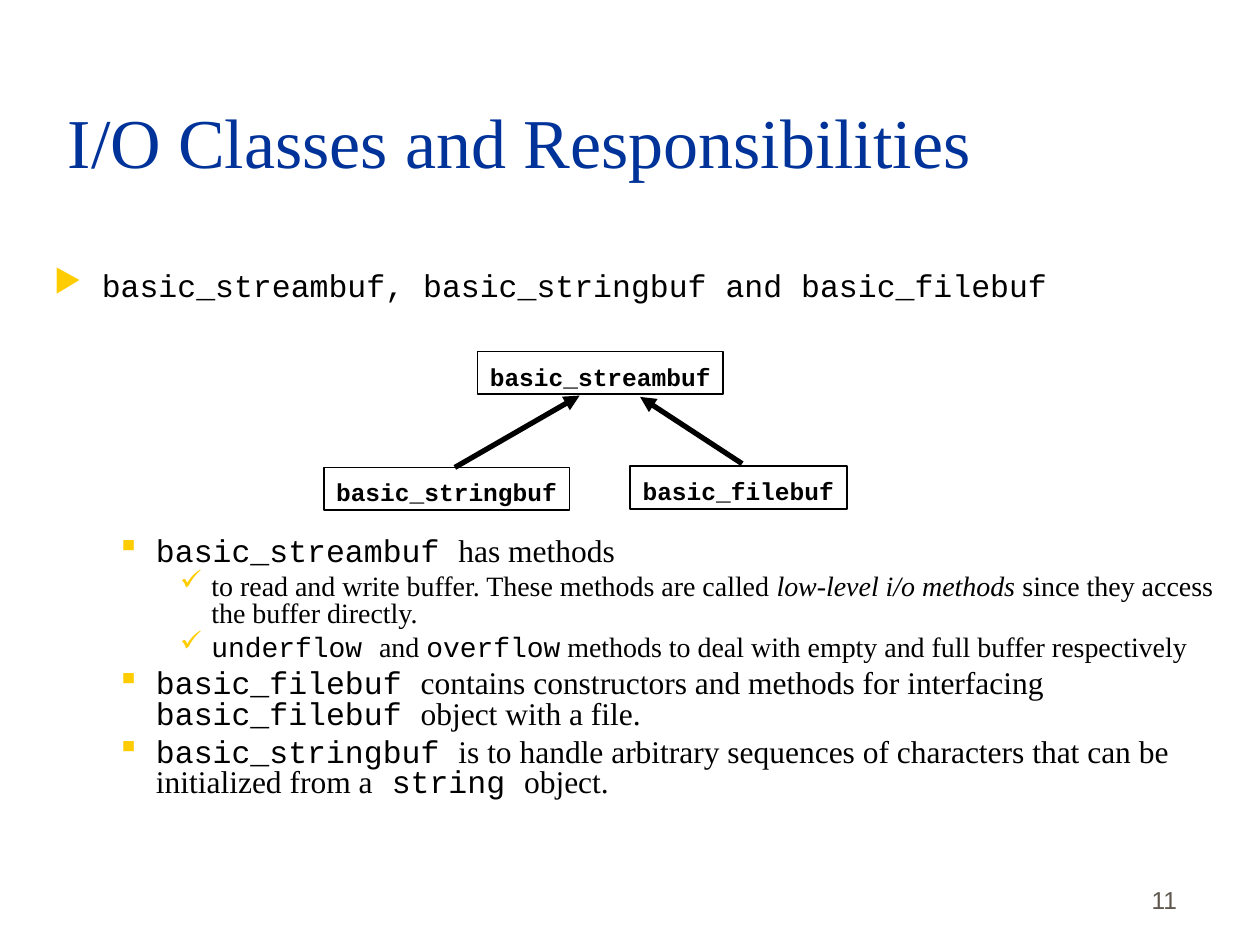
from lxml import etree
from pptx import Presentation
from pptx.dml.color import RGBColor
from pptx.enum.shapes import MSO_CONNECTOR, MSO_SHAPE
from pptx.enum.text import MSO_ANCHOR as Anchor, PP_ALIGN as Align
from pptx.oxml.ns import qn
from pptx.util import Inches, Pt

BLACK = RGBColor(0x00, 0x00, 0x00)
BLUE = RGBColor(0x00, 0x33, 0x99)
GOLD = RGBColor(0xFF, 0xCC, 0x00)
BROWN = RGBColor(0x5E, 0x57, 0x4E)
SERIF, MONO, SANS = "Times New Roman", "Courier New", "Arial"

# Bullet levels: character, left margin, hanging indent, text size, space before
TOPIC = ("▶", 0.38, 0.38, 18, 4.5)
POINT = ("▪", 0.81, 0.31, 18, 4.5)
DETAIL = ("✓", 1.25, 0.25, 16, 4)

TOPICS = [(TOPIC, [("basic_streambuf, basic_stringbuf and basic_filebuf", MONO)])]
POINTS = [
    (POINT, [("basic_streambuf ", MONO), ("has methods", SERIF)]),
    (DETAIL, [("to read and write buffer. These methods are called ", SERIF),
              ("low-level i/o methods ", SERIF, True),
              ("since they access the buffer directly.", SERIF)]),
    (DETAIL, [("underflow ", MONO), ("and ", SERIF), ("overflow", MONO),
              (" methods to deal with empty and full buffer respectively", SERIF)]),
    (POINT, [("basic_filebuf ", MONO),
             ("contains constructors and methods for interfacing ", SERIF),
             ("basic_filebuf ", MONO), ("object with a file.", SERIF)]),
    (POINT, [("basic_stringbuf ", MONO),
             ("is to handle arbitrary sequences of characters that can be "
              "initialized from a", SERIF),
             (" string ", MONO), ("object.", SERIF)]),
]


def add_span(para, text, font=SERIF, size=18, color=BLACK, bold=False, italic=False):
    span = para.add_run()
    span.text = text
    span.font.name = font
    span.font.size = Pt(size)
    span.font.color.rgb = color
    span.font.bold = bold
    span.font.italic = italic


def add_text_box(page, box, anchor=Anchor.TOP):
    frame = page.shapes.add_textbox(*map(Inches, box)).text_frame
    frame.word_wrap = True
    frame.vertical_anchor = anchor
    return frame


def add_line_of_text(page, box, text, align=Align.LEFT, **style):
    para = add_text_box(page, box, Anchor.BOTTOM).paragraphs[0]
    para.alignment = align
    add_span(para, text, **style)


def set_bullet(para, char, margin, hanging):
    props = para._p.get_or_add_pPr()
    props.set("marL", str(Inches(margin)))
    props.set("indent", str(-Inches(hanging)))
    color = etree.SubElement(props, qn("a:buClr"))
    etree.SubElement(color, qn("a:srgbClr"), val=str(GOLD))
    etree.SubElement(props, qn("a:buChar"), char=char)


def add_bullets(page, box, items):
    frame = add_text_box(page, box)
    for index, (level, spans) in enumerate(items):
        char, margin, hanging, size, space = level
        para = frame.add_paragraph() if index else frame.paragraphs[0]
        set_bullet(para, char, margin, hanging)
        para.line_spacing = 0.8
        if index:
            para.space_before = Pt(space)
        for text, font, *italic in spans:
            add_span(para, text, font=font, size=size, italic=bool(italic))


def add_class_box(page, box, name):
    shape = page.shapes.add_shape(MSO_SHAPE.RECTANGLE, *map(Inches, box))
    shape.shadow.inherit = False
    shape.fill.background()
    shape.line.color.rgb = BLACK
    shape.line.width = Pt(1)
    frame = shape.text_frame
    frame.word_wrap = False
    frame.vertical_anchor = Anchor.TOP
    frame.margin_top, frame.margin_bottom = Inches(0.08), Inches(0.02)
    para = frame.paragraphs[0]
    para.alignment = Align.CENTER
    add_span(para, name, font=MONO, size=14, bold=True)


def add_arrow(page, start, end):
    arrow = page.shapes.add_connector(
        MSO_CONNECTOR.STRAIGHT, *map(Inches, (*start, *end)))
    arrow.line.color.rgb = BLACK
    arrow.line.width = Pt(3)
    etree.SubElement(arrow.line._get_or_add_ln(), qn("a:tailEnd"), type="triangle")
    etree.SubElement(arrow._element.spPr, qn("a:effectLst"))


def add_class_diagram(page, box):
    """Draw the base class above its two derived classes."""
    left, top, width, height = box
    wide, narrow, tall = 1.95, 1.72, 0.34
    low = top + height - tall
    add_class_box(page, (left + 1.22, top, wide, tall), "basic_streambuf")
    add_class_box(page, (left, low, wide, tall), "basic_stringbuf")
    add_class_box(page, (left + width - narrow, low - 0.01, narrow, tall),
                  "basic_filebuf")
    add_arrow(page, (left + 1.04, low), (left + 2.03, top + tall + 0.01))
    add_arrow(page, (left + width - 0.83, low - 0.03),
              (left + 2.51, top + tall + 0.02))


def main():
    deck = Presentation()
    deck.slide_width, deck.slide_height = Inches(10), Inches(7.5)
    page = deck.slides.add_slide(deck.slide_layouts[6])
    add_line_of_text(page, (0.44, 0.25, 8.5, 1.25),
                     "I/O Classes and Responsibilities", size=40, color=BLUE)
    add_bullets(page, (0.33, 2.12, 9.67, 0.4), TOPICS)
    add_class_diagram(page, (2.57, 2.79, 4.15, 1.26))
    add_bullets(page, (0.33, 4.22, 9.67, 2.5), POINTS)
    add_line_of_text(page, (7.36, 6.81, 2.08, 0.5), "11", align=Align.RIGHT,
                     font=SANS, size=14, color=BROWN)
    deck.save("out.pptx")


if __name__ == "__main__":
    main()
